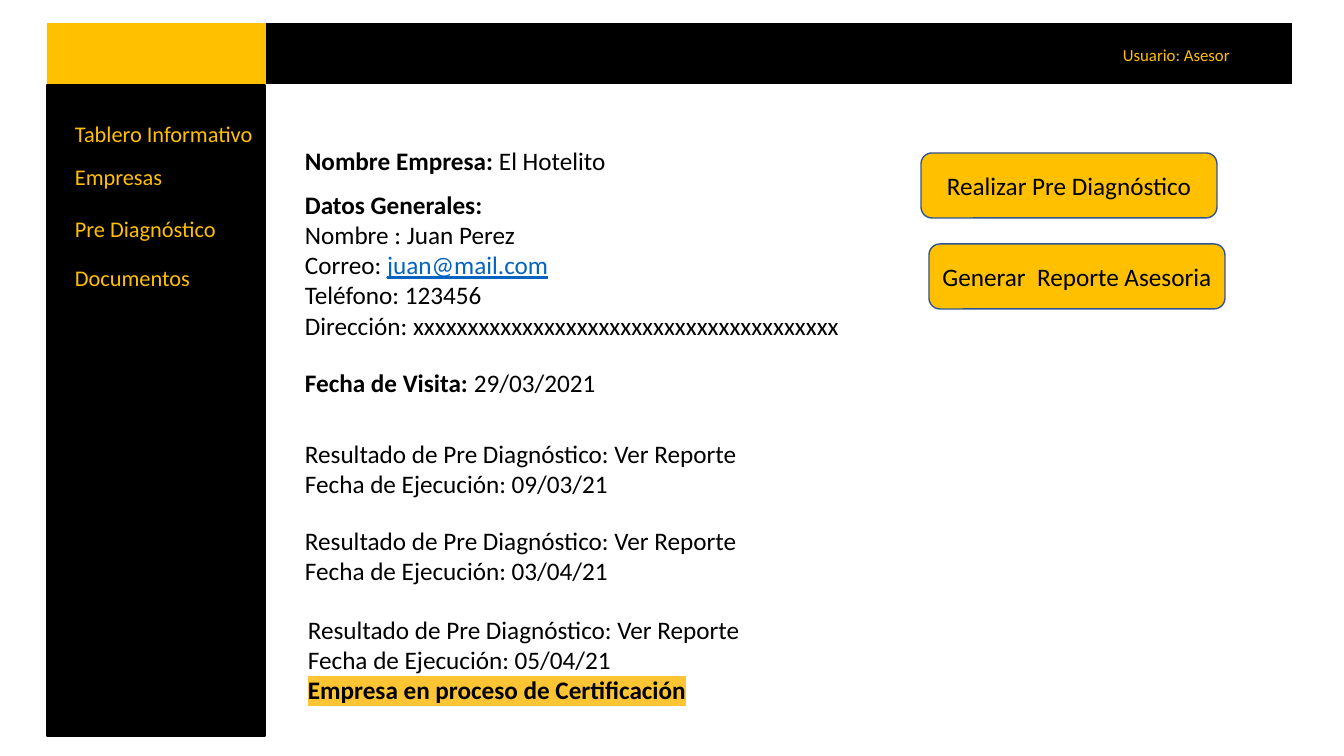
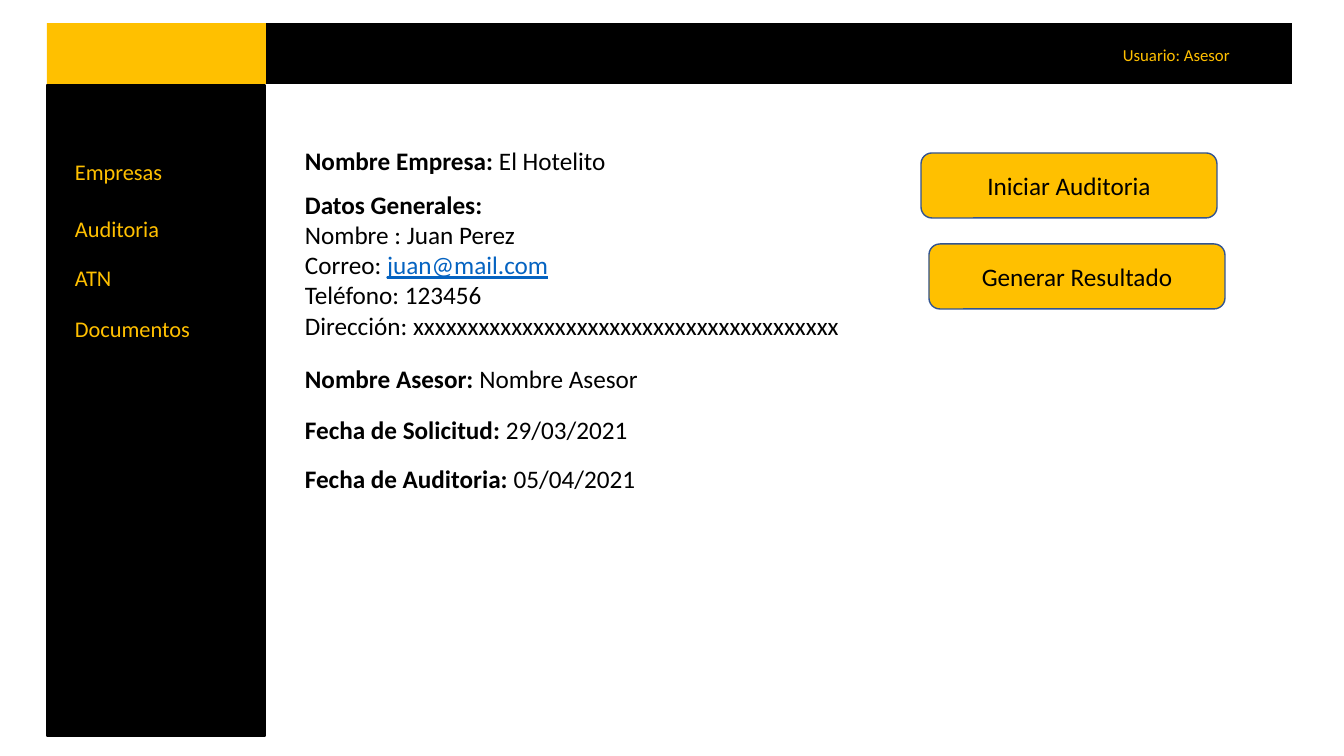
"""Build two advisory dashboard screens: company visit and company audit."""
import pptx
import pptx.dml.color
import pptx.enum.shapes
import pptx.enum.text
import pptx.oxml
import pptx.oxml.ns
import pptx.util

RGBColor = pptx.dml.color.RGBColor
BLACK = RGBColor(0x00, 0x00, 0x00)
WHITE = RGBColor(0xFF, 0xFF, 0xFF)
AMBER = RGBColor(0xFF, 0xC0, 0x00)
BUTTON_EDGE = RGBColor(0x32, 0x54, 0x91)
LINK_BLUE = RGBColor(0x05, 0x63, 0xC1)
HIGHLIGHT = RGBColor(0xFD, 0xC4, 0x34)

FONT = "Calibri"
SCALE = 914400 / 100.8
RECTANGLE = pptx.enum.shapes.MSO_SHAPE.RECTANGLE
ROUNDED = pptx.enum.shapes.MSO_SHAPE.ROUNDED_RECTANGLE

MENU_LEFT, MENU_WIDTH = 65, 201
CONTENT_LEFT = 295
BUTTON_SPOTS = [(921, 153), (929, 244)]
BUTTON_WIDTH, BUTTON_HEIGHT = 296, 65


def add_text(slide, left, top, width, lines, size, color, wrap):
    """Add a text box; each line is a list of (text, style) runs."""
    height = round((5 + len(lines) * size * 1.2) * 1.4 + 3)
    box = slide.shapes.add_textbox(*[round(px * SCALE) for px in (left, top, width, height)])
    frame = box.text_frame
    frame.word_wrap = wrap
    frame.auto_size = pptx.enum.text.MSO_AUTO_SIZE.SHAPE_TO_FIT_TEXT
    for index, runs in enumerate(lines):
        paragraph = frame.paragraphs[0] if index == 0 else frame.add_paragraph()
        for text, style in runs:
            run = paragraph.add_run()
            run.text = text
            run.font.name = FONT
            run.font.size = pptx.util.Pt(size)
            run.font.bold = style in ("bold", "marked")
            run.font.underline = style == "link"
            run.font.color.rgb = LINK_BLUE if style == "link" else color
            if style == "marked":
                highlight = pptx.oxml.parse_xml(
                    f'<a:highlight {pptx.oxml.ns.nsdecls("a")}>'
                    f'<a:srgbClr val="{HIGHLIGHT}"/></a:highlight>')
                properties = run.font._element
                properties.find(pptx.oxml.ns.qn("a:solidFill")).addnext(highlight)


def add_block(slide, kind, left, top, width, height, fill, edge=None):
    """Add a filled shape, outlined only when an edge colour is given."""
    shape = slide.shapes.add_shape(kind, *[round(px * SCALE) for px in (left, top, width, height)])
    shape.shadow.inherit = False
    shape.fill.solid()
    shape.fill.fore_color.rgb = fill
    if edge is None:
        shape.line.fill.background()
    else:
        shape.line.color.rgb = edge
        shape.line.width = pptx.util.Pt(1)
    return shape


company = (140, 324, [[("Nombre Empresa: ", "bold"), ("El Hotelito", "plain")]])
general_data = (184, 557, [
    [("Datos Generales:", "bold")],
    [("Nombre : Juan Perez", "plain")],
    [("Correo: ", "plain"), ("juan@mail.com", "link")],
    [("Teléfono: 123456", "plain")],
    [("Dirección: xxxxxxxxxxxxxxxxxxxxxxxxxxxxxxxxxxxxxxx", "plain")],
])

visit_fields = [(362, 313, "Fecha de Visita: ", "29/03/2021")]
audit_fields = [
    (358, 359, "Nombre Asesor: ", "Nombre Asesor"),
    (409, 346, "Fecha de Solicitud: ", "29/03/2021"),
    (458, 354, "Fecha de Auditoria: ", "05/04/2021"),
]
visit_results = [
    (CONTENT_LEFT, 433, "09/03/21", []),
    (CONTENT_LEFT, 520, "03/04/21", []),
    (CONTENT_LEFT + 3, 609, "05/04/21", [[("Empresa en proceso de Certificación", "marked")]]),
]

screens = [
    {
        "menu": [(115, "Tablero Informativo"), (158, "Empresas"),
                 (210, "Pre Diagnóstico"), (259, "Documentos")],
        "fields": visit_fields,
        "buttons": ["Realizar Pre Diagnóstico", "Generar  Reporte Asesoria"],
        "results": visit_results,
    },
    {
        "menu": [(153, "Empresas"), (210, "Auditoria"), (259, "ATN"), (310, "Documentos")],
        "fields": audit_fields,
        "buttons": ["Iniciar Auditoria", "Generar Resultado"],
        "results": [],
    },
]

presentation = pptx.Presentation()
presentation.slide_width = round(1344 * SCALE)
presentation.slide_height = round(756 * SCALE)
blank_layout = presentation.slide_layouts[6]

for screen in screens:
    slide = presentation.slides.add_slide(blank_layout)
    slide.background.fill.solid()
    slide.background.fill.fore_color.rgb = WHITE

    add_block(slide, RECTANGLE, 265, 23, 1027, 61, BLACK)
    add_block(slide, RECTANGLE, 47, 85, 218, 651, BLACK, BLACK)
    add_block(slide, RECTANGLE, 47, 23, 219, 61, AMBER)
    add_text(slide, 1113, 40, 165, [[("Usuario: Asesor", "plain")]], 12, AMBER, True)

    for top, label in screen["menu"]:
        add_text(slide, MENU_LEFT, top, MENU_WIDTH, [[(label, "plain")]], 16, AMBER, True)

    for top, width, lines in (company, general_data):
        add_text(slide, CONTENT_LEFT, top, width, lines, 18, BLACK, False)

    for top, width, label, value in screen["fields"]:
        lines = [[(label, "bold"), (value, "plain")]]
        add_text(slide, CONTENT_LEFT, top, width, lines, 18, BLACK, False)

    for (left, top), label in zip(BUTTON_SPOTS, screen["buttons"]):
        button = add_block(slide, ROUNDED, left, top, BUTTON_WIDTH, BUTTON_HEIGHT,
                           AMBER, BUTTON_EDGE)
        frame = button.text_frame
        frame.word_wrap = True
        frame.vertical_anchor = pptx.enum.text.MSO_ANCHOR.MIDDLE
        paragraph = frame.paragraphs[0]
        paragraph.alignment = pptx.enum.text.PP_ALIGN.CENTER
        run = paragraph.add_run()
        run.text = label
        run.font.name = FONT
        run.font.size = pptx.util.Pt(18)
        run.font.color.rgb = BLACK

    for left, top, date, status in screen["results"]:
        lines = [[("Resultado de Pre Diagnóstico: Ver Reporte", "plain")],
                 [(f"Fecha de Ejecución: {date}", "plain")]] + status
        add_text(slide, left, top, 458, lines, 18, BLACK, False)

presentation.save("out.pptx")
